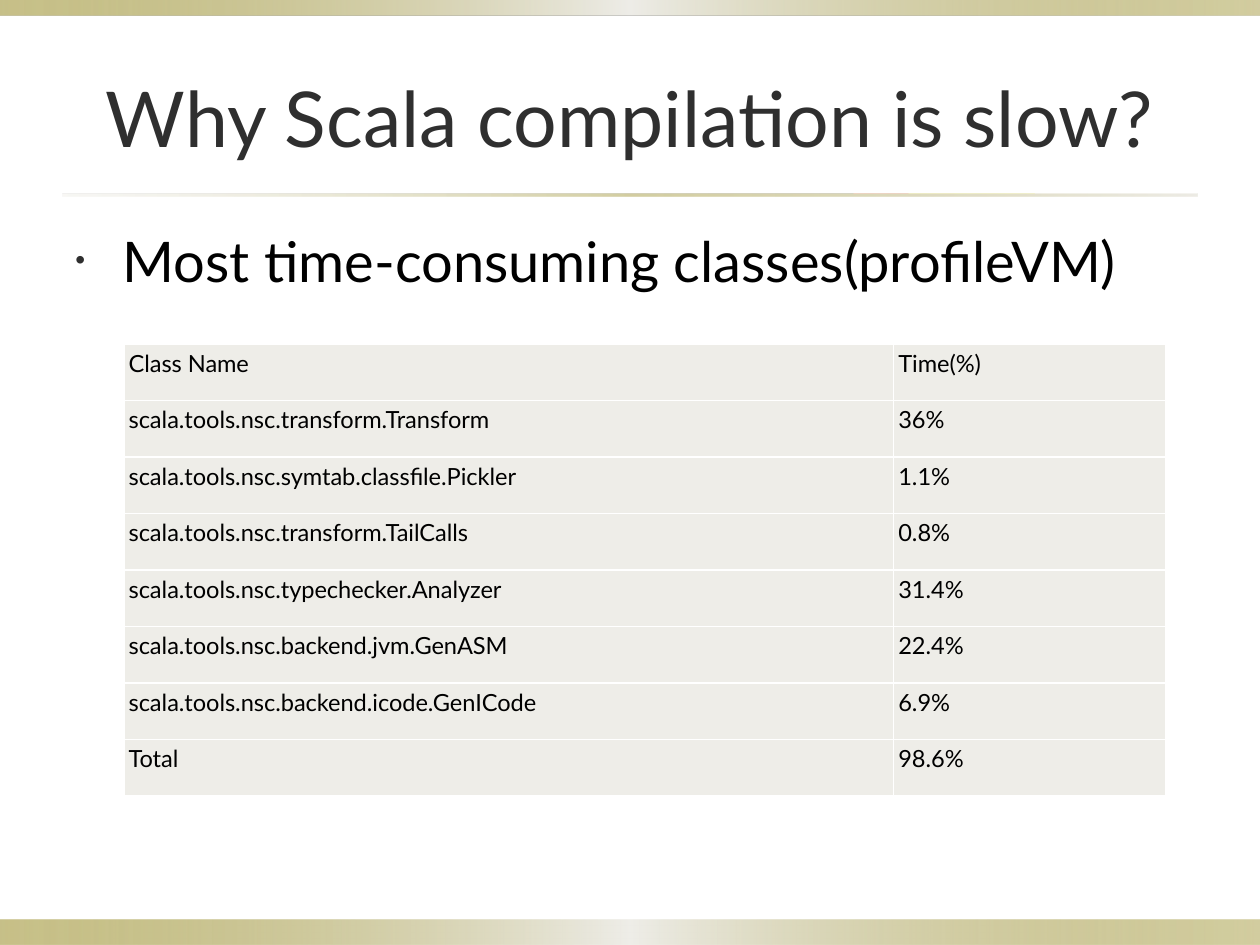
from lxml import etree
from pptx import Presentation
from pptx.dml.color import RGBColor
from pptx.enum.shapes import MSO_SHAPE
from pptx.enum.text import MSO_ANCHOR, MSO_AUTO_SIZE, PP_ALIGN
from pptx.oxml import parse_xml
from pptx.oxml.ns import nsdecls, qn
from pptx.util import Pt


def rgb(value):
    return RGBColor.from_string(value)


def add_run(p, text, size, color):
    r = p.add_run()
    r.text = text
    r.font.name = "Lato"
    r.font.size = Pt(size)
    r.font.color.rgb = rgb(color)


prs = Presentation()
prs.slide_width, prs.slide_height = Pt(720), Pt(540)
s = prs.slides.add_slide(prs.slide_layouts[5])
s.background.fill.solid()
s.background.fill.fore_color.rgb = rgb("FFFFFF")

# Gradient bands and title rule; stops are position, colour, opacity in percent
band_stops = [(0, "918415", 50), (50, "EEEDE8", 100), (100, "918415", 40)]
rule_stops = [(0, "DCD9CC", 20), (50, "918415", 40), (100, "DCD9CC", 50)]
bars = [
    (0, 525.6, 720, 14.4, band_stops),
    (0, 0, 720, 8.64, band_stops),
    (36, 110.9, 648, 1.44, rule_stops),
]
for left, top, width, height, stops in bars:
    sp = s.shapes.add_shape(MSO_SHAPE.RECTANGLE, Pt(left), Pt(top), Pt(width), Pt(height))
    sp.shadow.inherit = False
    sp.line.fill.background()
    sp.fill.gradient()
    sp.fill.gradient_angle = 0
    stop_list = next(sp._element.spPr.iter(qn("a:gsLst")))
    for old_stop in list(stop_list):
        stop_list.remove(old_stop)
    for position, color, opacity in stops:
        stop = etree.SubElement(stop_list, qn("a:gs"), pos=str(position * 1000))
        clr = etree.SubElement(stop, qn("a:srgbClr"), val=color)
        etree.SubElement(clr, qn("a:alpha"), val=str(opacity * 1000))

# Title
title = s.shapes.title
title.left, title.top, title.width, title.height = Pt(36), Pt(21.6), Pt(648), Pt(90)
tf = title.text_frame
tf.auto_size = MSO_AUTO_SIZE.NONE
tf.vertical_anchor = MSO_ANCHOR.MIDDLE
p = tf.paragraphs[0]
p.alignment = PP_ALIGN.CENTER
add_run(p, "Why Scala compilation is slow?", 44, "2F2F2F")

# Bullet
body = s.shapes.add_textbox(Pt(36), Pt(126), Pt(648), Pt(369.4))
tf = body.text_frame
tf.word_wrap = True
p = tf.paragraphs[0]
add_run(p, "Most time-consuming classes(profileVM)", 32, "000000")
pPr = p._p.get_or_add_pPr()
pPr.set("marL", str(Pt(27)))
pPr.set("indent", str(-Pt(27)))
bullet_color = etree.SubElement(pPr, qn("a:buClr"))
etree.SubElement(bullet_color, qn("a:srgbClr"), val="2F2F2F")
etree.SubElement(pPr, qn("a:buSzPct"), val="50000")
etree.SubElement(pPr, qn("a:buFont"), typeface="Arial")
etree.SubElement(pPr, qn("a:buChar"), char="•")

# Table of class timings
rows = [
    ("Class Name", "Time(%)"),
    ("scala.tools.nsc.transform.Transform", "36%"),
    ("scala.tools.nsc.symtab.classfile.Pickler", "1.1%"),
    ("scala.tools.nsc.transform.TailCalls", "0.8%"),
    ("scala.tools.nsc.typechecker.Analyzer", "31.4%"),
    ("scala.tools.nsc.backend.jvm.GenASM", "22.4%"),
    ("scala.tools.nsc.backend.icode.GenICode", "6.9%"),
    ("Total", "98.6%"),
]
table = s.shapes.add_table(len(rows), 2, Pt(70.8), Pt(196.6), Pt(595.4), Pt(258.5)).table
table.columns[0].width, table.columns[1].width = Pt(439.9), Pt(155.5)
for i, row in enumerate(rows):
    table.rows[i].height = Pt(32.31)
    for j, text in enumerate(row):
        cell = table.cell(i, j)
        cell.margin_left = cell.margin_right = Pt(2.7)
        cell.margin_top = cell.margin_bottom = Pt(2.7)
        cell.fill.solid()
        cell.fill.fore_color.rgb = rgb("EEEDE8")
        p = cell.text_frame.paragraphs[0]
        add_run(p, text, 13.5, "000000")
        p.runs[0].font.bold = False
        tcPr = cell._tc.get_or_add_tcPr()
        for k, side in enumerate(("lnL", "lnR", "lnT", "lnB")):
            tcPr.insert(k, parse_xml(
                f'<a:{side} {nsdecls("a")} w="{Pt(1)}"><a:solidFill>'
                f'<a:srgbClr val="FFFFFF"/></a:solidFill></a:{side}>'))

prs.save("out.pptx")
